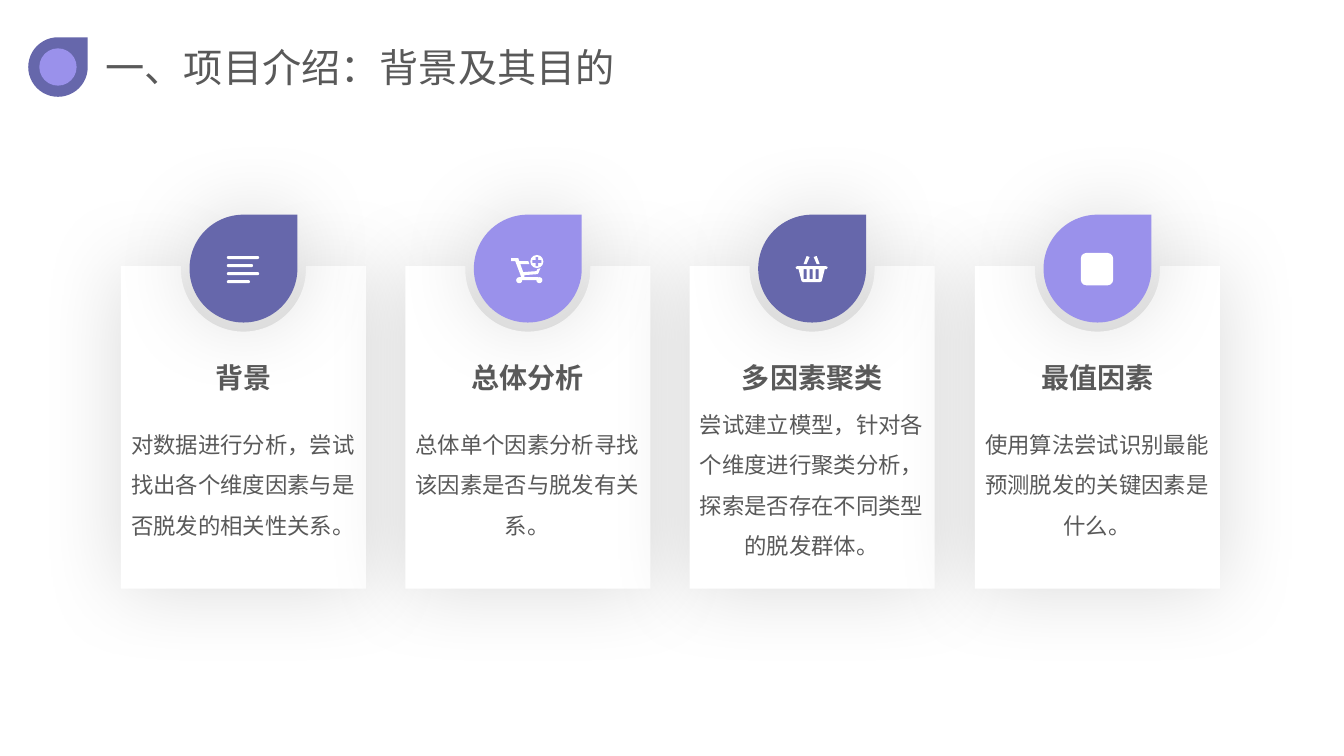
from dataclasses import dataclass
from math import cos, radians, sin

from lxml.etree import SubElement
from pptx import Presentation
from pptx.dml.color import RGBColor
from pptx.enum.shapes import MSO_SHAPE as Shape
from pptx.enum.text import MSO_ANCHOR as Anchor, PP_ALIGN as Align
from pptx.oxml.ns import qn
from pptx.util import Pt

PX = 9144  # one px is a hundredth of an inch


@dataclass(frozen=True)
class Theme:
    dark: str = "6667AB"
    light: str = "9A91EB"
    white: str = "FFFFFF"
    ink: str = "595959"
    shadow: str = "000000"
    face: str = "Noto Sans CJK SC"
    title: int = 28
    heading: int = 20
    body: int = 16


THEME = Theme()

CARDS = [
    ("背景", "对数据进行分析，尝试找出各个维度因素与是否脱发的相关性关系。"),
    ("总体分析", "总体单个因素分析寻找该因素是否与脱发有关系。"),
    ("多因素聚类", "尝试建立模型，针对各个维度进行聚类分析，探索是否存在不同类型的脱发群体。"),
    ("最值因素", "使用算法尝试识别最能预测脱发的关键因素是什么。"),
]

CART = [[(0, 3), (7, 3), (8, 6), (17, 6), (18, 9), (9, 9), (12, 17), (25, 16),
         (26, 14), (29, 13), (27, 18), (26, 19), (13, 20), (13, 22), (27, 22),
         (27, 25), (8, 25), (8, 22), (10, 22), (4, 6), (0, 6)]]
BASKET = [
    [(0, 11), (2, 10), (30, 10), (32, 11), (31, 13), (29, 13), (26, 25),
     (24, 26), (8, 26), (6, 25), (3, 13), (1, 13)],
    [(18, 1), (21, 0), (24, 8), (21, 8)],
    [(14, 1), (11, 0), (8, 8), (11, 8)],
] + [[(x, 13), (x, 23), (x + 3, 23), (x + 3, 13)] for x in (8, 14, 20)]


# Shared helpers
def paint(shape, color, shadow=False):
    shape.fill.solid()
    shape.fill.fore_color.rgb = RGBColor.from_string(color)
    shape.line.fill.background()
    shape.shadow.inherit = False
    if shadow:
        effects = shape._element.spPr.find(qn("a:effectLst"))
        outer = SubElement(effects, qn("a:outerShdw"), blurRad=str(Pt(60)),
                           dist="0", algn="ctr", rotWithShape="0")
        tint = SubElement(outer, qn("a:srgbClr"), val=THEME.shadow)
        SubElement(tint, qn("a:alpha"), val="15000")


def add_preset(shapes, kind, box, color, shadow=False):
    shape = shapes.add_shape(kind, *(length * PX for length in box))
    paint(shape, color, shadow)
    return shape


def add_outline(shapes, left, top, contours, color, shadow=False):
    placed = [[(round((left + x) * PX), round((top + y) * PX)) for x, y in contour]
              for contour in contours]
    builder = shapes.build_freeform(*placed[0][0], scale=1.0)
    for index, contour in enumerate(placed):
        if index:
            builder.move_to(*contour[0])
        builder.add_line_segments(contour[1:], close=True)
    paint(builder.convert_to_shape(), color, shadow)


def add_text(shapes, box, text, size, frame_format, para_format, bold=False):
    frame = shapes.add_textbox(*(length * PX for length in box)).text_frame
    for name, value in {"word_wrap": True, **frame_format}.items():
        setattr(frame, name, value)
    para = frame.paragraphs[0]
    for name, value in para_format.items():
        setattr(para, name, value)
    span = para.add_run()
    span.text = text
    for name, value in {"size": Pt(size), "name": THEME.face, "bold": bold}.items():
        setattr(span.font, name, value)
    span.font.color.rgb = RGBColor.from_string(THEME.ink)
    SubElement(span._r.get_or_add_rPr(), qn("a:ea"), typeface=THEME.face)


# Icons, each placed from the top left of its box
def add_lines_icon(shapes, left, top, accent):
    for row, width in enumerate((32, 26, 32, 23)):
        bar = (left, top + 3 + 8 * row, width, 3)
        add_preset(shapes, Shape.ROUNDED_RECTANGLE, bar, THEME.white).adjustments[0] = 0.5


def add_cart_icon(shapes, left, top, accent):
    add_outline(shapes, left, top + 2, CART, THEME.white)
    for x, y, size in ((5, 24, 6), (25, 24, 6), (19, 2, 13)):
        add_preset(shapes, Shape.OVAL, (left + x, top + y, size, size), THEME.white)
    add_preset(shapes, Shape.CROSS, (left + 21, top + 4, 9, 9), accent).adjustments[0] = 0.35


def add_basket_icon(shapes, left, top, accent):
    add_outline(shapes, left, top + 3, BASKET, THEME.white)


def add_block_icon(shapes, left, top, accent):
    add_preset(shapes, Shape.ROUNDED_RECTANGLE, (left, top, 32, 32), THEME.white)


ICONS = [add_lines_icon, add_cart_icon, add_basket_icon, add_block_icon]


# Regions
def add_header(page, box):
    left, top, width, height = box
    shapes = page.shapes
    add_preset(shapes, Shape.TEAR, (left, top, height, height), THEME.dark)
    add_preset(shapes, Shape.OVAL, (left + 11, top + 11, 37, 37), THEME.light)
    add_text(shapes, (left + 67, top + 1, width - 67, 57), "一、项目介绍：背景及其目的",
             THEME.title, {}, {})


def add_card(page, box, heading, body, accent, add_icon):
    left, top, width, height = box
    shapes = page.shapes.add_group_shape().shapes
    middle = width / 2

    # Panel with a round notch
    notch = [(middle - 62 * cos(radians(angle)), 3 + 62 * sin(radians(angle)))
             for angle in range(0, 181, 4)]
    panel = [(0, 0), (middle - 62, 0), *notch, (middle + 62, 0),
             (width, 0), (width, height), (0, height)]
    add_outline(shapes, left, top, [panel], THEME.white, shadow=True)

    # Badge and icon
    add_preset(shapes, Shape.TEAR, (left + 68, top - 51, 107, 107), accent, shadow=True)
    add_icon(shapes, left + 105, top - 13, accent)

    # Wording
    margins = ("margin_left", "margin_top", "margin_right", "margin_bottom")
    frame_format = {"vertical_anchor": Anchor.MIDDLE, **dict.fromkeys(margins, 3 * PX)}
    add_text(shapes, (left, top + 91, width, 39), heading, THEME.heading,
             frame_format, {"alignment": Align.CENTER}, bold=True)
    add_text(shapes, (left + 6, top + 127, width - 13, 167), body, THEME.body,
             frame_format, {"alignment": Align.CENTER, "line_spacing": 1.5})


def add_card_row(page, box):
    left, top, width, height = box
    card_width = 243
    for index, ((heading, body), add_icon) in enumerate(zip(CARDS, ICONS)):
        card_left = left + index * (width - card_width) // (len(CARDS) - 1)
        accent = THEME.light if index % 2 else THEME.dark
        add_card(page, (card_left, top, card_width, height), heading, body, accent, add_icon)


def main():
    deck = Presentation()
    deck.slide_width, deck.slide_height = 1333 * PX, 750 * PX
    page = deck.slides.add_slide(deck.slide_layouts[6])
    add_header(page, (28, 37, 663, 59))
    add_card_row(page, (120, 264, 1090, 320))
    deck.save("out.pptx")


if __name__ == "__main__":
    main()
